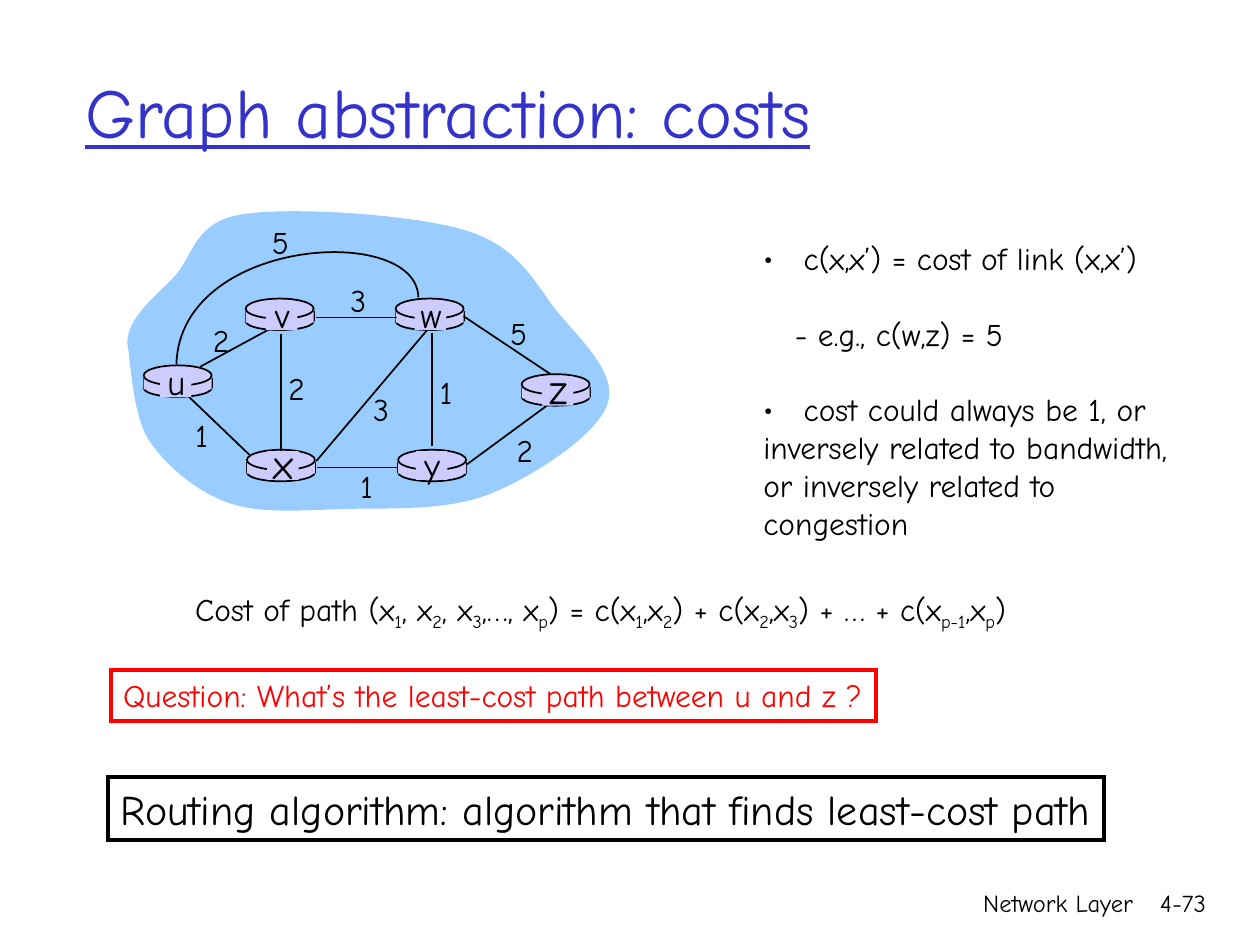
from lxml import etree
from pptx import Presentation
from pptx.dml.color import RGBColor
from pptx.enum.shapes import MSO_CONNECTOR as CON, MSO_SHAPE as SH
from pptx.enum.text import MSO_ANCHOR as ANC, PP_ALIGN as AL
from pptx.oxml.ns import qn
from pptx.util import Inches, Pt

BLACK = RGBColor(0x00, 0x00, 0x00)
BLUE = RGBColor(0x33, 0x33, 0xCC)
SKY = RGBColor(0x99, 0xCC, 0xFF)
LILAC = RGBColor(0xCC, 0xCC, 0xFF)
RED = RGBColor(0xFF, 0x00, 0x00)
FONT = "Comic Neue"

prs = Presentation()
prs.slide_width, prs.slide_height = Inches(10), Inches(7.5)
shapes = prs.slides.add_slide(prs.slide_layouts[6]).shapes


def write(s, runs, size, color=BLACK, align=AL.LEFT, wrap=False, anchor=ANC.TOP):
    tf = s.text_frame
    tf.word_wrap, tf.vertical_anchor = wrap, anchor
    p = tf.paragraphs[0]
    p.alignment = align
    for i, text in enumerate(runs):
        r = p.add_run()
        r.text = text
        r.font.name, r.font.size, r.font.color.rgb = FONT, Pt(size), color
        if i % 2:
            r.font._element.set("baseline", "-25000")
    return p


def link(x1, y1, x2, y2):
    s = shapes.add_connector(CON.STRAIGHT, Inches(x1), Inches(y1), Inches(x2), Inches(y2))
    s.line.color.rgb, s.line.width = BLACK, Pt(1)
    etree.SubElement(s._element.spPr, qn("a:effectLst"))


for text, x, w in [("Network Layer", 5.92, 3.17), ("4-73", 8.93, 0.74)]:
    s = shapes.add_textbox(Inches(x), Inches(7), Inches(w), Inches(0.5))
    write(s, [text], 14, align=AL.RIGHT, wrap=True)

s = shapes.add_textbox(Inches(0.58), Inches(0.25), Inches(8.5), Inches(1.25))
p = write(s, ["Graph abstraction: costs"], 40, BLUE, wrap=True, anchor=ANC.MIDDLE)
p.runs[0].font.underline = True

cloud = [
    (1.01, 2.72), (1.02, 2.51), (1.23, 2.36), (1.39, 2.19), (1.54, 2.02), (1.54, 1.76),
    (1.93, 1.70), (2.31, 1.64), (3.28, 1.70), (3.70, 1.83), (4.12, 1.96), (4.24, 2.24),
    (4.42, 2.47), (4.61, 2.70), (4.91, 2.97), (4.82, 3.21), (4.74, 3.45), (4.24, 3.78),
    (3.89, 3.92), (3.54, 4.06), (3.08, 4.03), (2.73, 4.04), (2.39, 4.05), (2.07, 4.08),
    (1.81, 3.99), (1.56, 3.90), (1.32, 3.70), (1.18, 3.49), (1.05, 3.28), (1.04, 2.88),
    (1.01, 2.72),
]
arc = [(3.32, 2.36), (3.31, 1.77), (1.43, 1.88), (1.40, 2.89)]
curves = []
for knots in (cloud, arc):
    start, *points = [(Inches(x), Inches(y)) for x, y in knots]
    fb = shapes.build_freeform(*start)
    fb.add_line_segments(points, close=knots is cloud)
    s = fb.convert_to_shape()
    s.shadow.inherit = False
    segments = list(s._element.iter(qn("a:lnTo")))
    for i in range(0, len(segments), 3):
        bezier = etree.Element(qn("a:cubicBezTo"))
        segments[i].addprevious(bezier)
        for segment in segments[i:i + 3]:
            bezier.append(segment[0])
            segment.getparent().remove(segment)
    curves.append(s)

area, bow = curves
area.fill.solid()
area.fill.fore_color.rgb = SKY
area.line.fill.background()
bow.fill.background()
bow.line.color.rgb, bow.line.width = BLACK, Pt(1)

link(1.59, 2.91, 2.18, 2.59)

routers = [(1.14, 3.01), (1.96, 3.68), (1.95, 2.48), (3.14, 2.48), (3.16, 3.68), (4.14, 3.08)]
for x, y in routers:
    for kind, top, h in [(SH.OVAL, y, 0.14), (SH.RECTANGLE, y - 0.01, 0.09), (SH.OVAL, y - 0.11, 0.16)]:
        if kind == SH.RECTANGLE:
            for side in (x, x + 0.54):
                link(side, y - 0.01, side, y + 0.07)
        s = shapes.add_shape(kind, Inches(x), Inches(top), Inches(0.54), Inches(h))
        s.shadow.inherit = False
        s.fill.solid()
        s.fill.fore_color.rgb = LILAC
        if kind == SH.OVAL:
            s.line.color.rgb, s.line.width = BLACK, Pt(1)
        else:
            s.line.fill.background()

for ends in [
    (3.43, 2.64, 3.43, 3.54), (2.23, 2.65, 2.23, 3.58), (2.51, 3.66, 3.39, 2.62),
    (3.70, 3.69, 4.34, 3.22), (3.16, 3.71, 2.52, 3.71), (1.98, 3.61, 1.50, 3.15),
    (3.15, 2.52, 2.51, 2.52), (4.37, 2.97, 3.68, 2.51),
]:
    link(*ends)

for name, x, y, w, size in [
    ("u", 1.27, 2.92, 0.34, 20), ("y", 3.30, 3.58, 0.32, 20), ("x", 2.12, 3.58, 0.36, 24),
    ("w", 3.29, 2.39, 0.36, 20), ("v", 2.11, 2.39, 0.31, 20), ("z", 4.30, 2.99, 0.34, 24),
]:
    s = shapes.add_shape(SH.RECTANGLE, Inches(x), Inches(y), Inches(0.25), Inches(0.23))
    s.shadow.inherit = False
    s.fill.solid()
    s.fill.fore_color.rgb = LILAC
    s.line.fill.background()
    rise, h = (0.16, 0.5) if size == 24 else (0.11, 0.44)
    s = shapes.add_textbox(Inches(x + 0.13 - w / 2), Inches(y - rise), Inches(w), Inches(h))
    write(s, [name], size, align=AL.CENTER)

for cost, x, y in [
    ("2", 1.59, 2.50), ("2", 2.19, 2.88), ("1", 1.45, 3.25), ("3", 2.86, 3.05), ("1", 2.76, 3.66),
    ("1", 3.39, 2.91), ("2", 4.00, 3.37), ("5", 3.95, 2.44), ("3", 2.68, 2.18), ("5", 2.06, 1.72),
]:
    w = 0.3 if cost == "1" else 0.33
    s = shapes.add_textbox(Inches(x), Inches(y), Inches(w), Inches(0.4))
    write(s, [cost], 18, align=AL.CENTER)

s = shapes.add_textbox(Inches(5.96), Inches(1.85), Inches(3.43), Inches(2.5))
tf = s.text_frame
tf.word_wrap = False
for i, (text, margin, bullet, gap) in enumerate([
    ("c(x,x’) = cost of link (x,x’)", 0.32, True, 0),
    ("- e.g., c(w,z) = 5", 0.25, False, 0.3),
    ("cost could always be 1, or", 0.32, True, 0.3),
    ("inversely related to bandwidth,", 0, False, 0),
    ("or inversely related to", 0, False, 0),
    ("congestion", 0, False, 0),
]):
    p = tf.add_paragraph() if i else tf.paragraphs[0]
    pPr = p._p.get_or_add_pPr()
    pPr.set("marL", str(Inches(margin)))
    if bullet:
        pPr.set("indent", str(-Inches(margin)))
        etree.SubElement(pPr, qn("a:buFont"), typeface=FONT)
        etree.SubElement(pPr, qn("a:buChar"), char="•")
    if gap:
        p.space_before = Inches(gap)
    r = p.add_run()
    r.text = text
    r.font.name, r.font.size, r.font.color.rgb = FONT, Pt(18), BLACK

s = shapes.add_textbox(Inches(1.45), Inches(4.63), Inches(6.8), Inches(0.44))
write(s, ["Cost of path (x", "1", ", x", "2", ", x", "3", ",…, x", "p", ") = c(x", "1", ",x", "2",
          ") + c(x", "2", ",x", "3", ") + … + c(x", "p-1", ",x", "p", ")"], 18)

for text, x, y, w, h, size, color in [
    ("Question: What’s the least-cost path between u and z ?", 0.88, 5.32, 6.07, 0.4, 18, RED),
    ("Routing algorithm: algorithm that finds least-cost path", 0.86, 6.17, 7.9, 0.5, 24, BLACK),
]:
    s = shapes.add_shape(SH.RECTANGLE, Inches(x), Inches(y), Inches(w), Inches(h))
    s.shadow.inherit = False
    s.fill.background()
    s.line.color.rgb, s.line.width = color, Pt(2.25)
    etree.SubElement(s.line._get_or_add_ln(), qn("a:miter"), lim="800000")
    write(s, [text], size, color)

prs.save("out.pptx")
